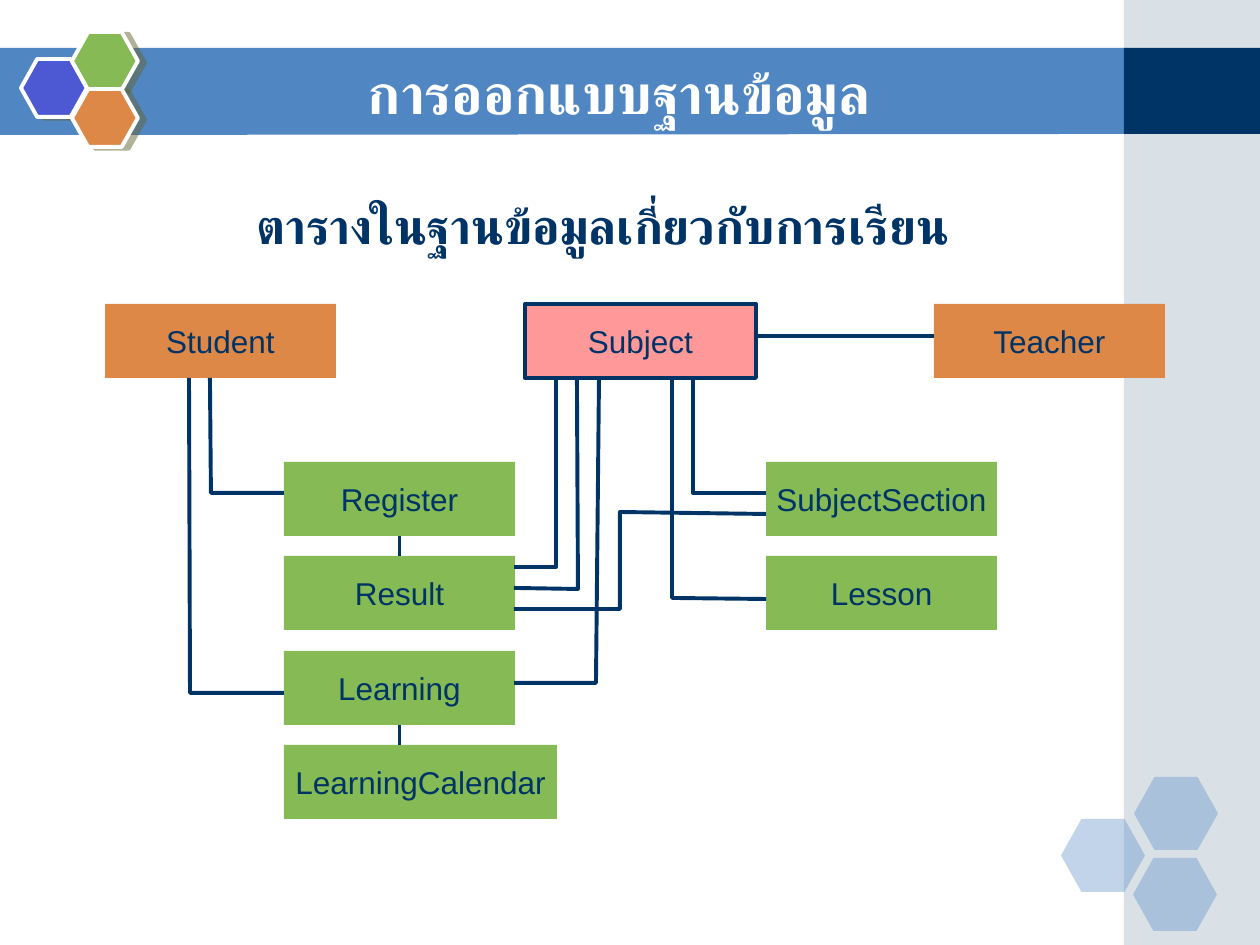
from lxml import etree
from pptx import Presentation
from pptx.dml.color import RGBColor
from pptx.enum.shapes import MSO_CONNECTOR, MSO_SHAPE
from pptx.enum.text import MSO_ANCHOR, PP_ALIGN
from pptx.oxml import parse_xml
from pptx.oxml.ns import nsdecls, qn
from pptx.util import Pt

PX = 914400 / 126
RECTANGLE = MSO_SHAPE.RECTANGLE
HEXAGON = MSO_SHAPE.HEXAGON
STRAIGHT = MSO_CONNECTOR.STRAIGHT
CENTER = PP_ALIGN.CENTER
LEFT = PP_ALIGN.LEFT
MIDDLE = MSO_ANCHOR.MIDDLE
TOP = MSO_ANCHOR.TOP
BOTTOM_SIDE, TOP_SIDE = 2, 0

COLORS = {
    "navy": "003366",
    "blue": "5086C2",
    "mist": "A0B5C4",
    "violet": "4C59D2",
    "green": "85BA54",
    "orange": "DE8848",
    "pink": "FF9999",
    "white": "FFFFFF",
    "shadow": "666633",
}

BOX_WIDTH, BOX_HEIGHT = 231, 74
TOP_ROW = 304
ROWS = [462 + row * 189 // 2 for row in range(4)]
LEFT_COLUMN, RIGHT_COLUMN = 284, 766

TABLES = [
    ("Subject", 525, TOP_ROW, BOX_WIDTH, "pink", "navy"),
    ("Register", LEFT_COLUMN, ROWS[0], BOX_WIDTH, "green", None),
    ("Result", LEFT_COLUMN, ROWS[1], BOX_WIDTH, "green", None),
    ("Student", 105, TOP_ROW, BOX_WIDTH, "orange", None),
    ("Teacher", 934, TOP_ROW, BOX_WIDTH, "orange", None),
    ("Learning", LEFT_COLUMN, ROWS[2], BOX_WIDTH, "green", None),
    ("LearningCalendar", LEFT_COLUMN, ROWS[3], 273, "green", None),
    ("Lesson", RIGHT_COLUMN, ROWS[1], BOX_WIDTH, "green", None),
    ("SubjectSection", RIGHT_COLUMN, ROWS[0], BOX_WIDTH, "green", None),
]

RELATION_ROUTES = [
    [(210, 378), (211, 493), (284, 493)],
    [(693, 378), (693, 493), (766, 493)],
    [(672, 378), (672, 598), (766, 599)],
    [(514, 567), (556, 567), (556, 378)],
    [(766, 514), (620, 512), (620, 609), (514, 609)],
    [(189, 378), (190, 693), (284, 693)],
    [(514, 683), (596, 683), (599, 378)],
    [(514, 588), (578, 589), (577, 378)],
]


def emu(*pixels):
    return [round(value * PX) for value in pixels]


def rgb(color):
    return RGBColor.from_string(COLORS[color])


def paint(shape, fill=None, line=None, alpha=None):
    shape.shadow.inherit = False
    if fill:
        shape.fill.solid()
        shape.fill.fore_color.rgb = rgb(fill)
    else:
        shape.fill.background()
    if alpha:
        color = shape.element.spPr.find(qn("a:solidFill"))[0]
        etree.SubElement(color, qn("a:alpha")).set("val", str(alpha * 1000))
    if line:
        shape.line.color.rgb = rgb(line)
        shape.line.width = Pt(2.25)
    else:
        shape.line.fill.background()


def add_preset(slide, preset, bounds, fill, line=None, alpha=None):
    shape = slide.shapes.add_shape(preset, *emu(*bounds))
    paint(shape, fill, line, alpha)
    return shape


def add_outline(slide, points, fill=None, line=None, close=False):
    builder = slide.shapes.build_freeform(*points[0], scale=PX)
    builder.add_line_segments(points[1:], close=close)
    paint(builder.convert_to_shape(), fill, line)


def add_hexagon(slide, bounds, fill, line=None, alpha=None):
    hexagon = add_preset(slide, HEXAGON, bounds, fill, line, alpha)
    hexagon.adjustments[0] = 0.28
    return hexagon


def add_drop_shadow(shape):
    effects = shape.element.spPr.find(qn("a:effectLst"))
    effects.append(parse_xml(
        f'<a:outerShdw {nsdecls("a")} dist="52070" dir="840000" algn="ctr" rotWithShape="0">'
        f'<a:srgbClr val="{COLORS["shadow"]}"><a:alpha val="50000"/></a:srgbClr>'
        '</a:outerShdw>'))


def write_text(shape, text, size, font, color, bold=False,
               align=CENTER, anchor=MIDDLE, wrap=False):
    frame = shape.text_frame
    frame.text = text
    frame.word_wrap = wrap
    frame.vertical_anchor = anchor
    paragraph = frame.paragraphs[0]
    paragraph.alignment = align
    run_font = paragraph.runs[0].font
    run_font.size = Pt(size)
    run_font.name = font
    run_font.bold = bold
    run_font.color.rgb = rgb(color)


def add_relation(slide, start, end):
    connector = slide.shapes.add_connector(STRAIGHT, *emu(*start, *end))
    connector.line.color.rgb = rgb("navy")
    connector.line.width = Pt(2.25)
    etree.SubElement(connector.element.spPr, qn("a:effectLst"))
    return connector


def add_background(slide):
    add_outline(slide, [(-1, 48), (1128, 48), (1128, 134), (-1, 135)], "blue", close=True)
    add_preset(slide, RECTANGLE, (1124, 0, 136, 945), "mist", alpha=40)
    add_preset(slide, RECTANGLE, (1124, 48, 136, 86), "navy")
    for left, top in [(1061, 819), (1134, 777), (1133, 858)]:
        add_hexagon(slide, (left, top, 84, 73), "blue", alpha=35)
    for left, top, fill in [(21, 59, "violet"), (72, 32, "green"), (72, 89, "orange")]:
        add_drop_shadow(add_hexagon(slide, (left, top, 66, 58), fill, "white"))


def add_headings(slide):
    title = slide.shapes.add_textbox(*emu(157, 53, 924, 78))
    write_text(title, "การออกแบบฐานข้อมูล", 32, "DejaVu Sans", "white",
               bold=True, wrap=True)
    subtitle = slide.shapes.add_textbox(*emu(244, 189, 720, 72))
    write_text(subtitle, "ตารางในฐานข้อมูลเกี่ยวกับการเรียน", 28, "Arial", "navy",
               bold=True, align=LEFT, anchor=TOP)


def add_tables(slide):
    boxes = {}
    for name, left, top, width, fill, line in TABLES:
        box = add_preset(slide, RECTANGLE, (left, top, width, BOX_HEIGHT), fill, line)
        write_text(box, name, 18, "Arial", "navy")
        boxes[name] = box
    return boxes


def add_relations(slide, boxes):
    add_relation(slide, (756, 336), (934, 336))
    middle = LEFT_COLUMN + BOX_WIDTH / 2
    register_result = add_relation(slide, (middle, ROWS[0] + BOX_HEIGHT), (middle, ROWS[1]))
    register_result.begin_connect(boxes["Register"], BOTTOM_SIDE)
    register_result.end_connect(boxes["Result"], TOP_SIDE)
    learning_calendar = add_relation(slide, (middle, ROWS[2] + BOX_HEIGHT), (middle, ROWS[3]))
    learning_calendar.begin_connect(boxes["Learning"], BOTTOM_SIDE)
    for route in RELATION_ROUTES:
        add_outline(slide, route, line="navy")


def main():
    presentation = Presentation()
    presentation.slide_width, presentation.slide_height = emu(1260, 945)
    slide = presentation.slides.add_slide(presentation.slide_layouts[6])
    add_background(slide)
    add_headings(slide)
    add_relations(slide, add_tables(slide))
    presentation.save("out.pptx")


if __name__ == "__main__":
    main()
